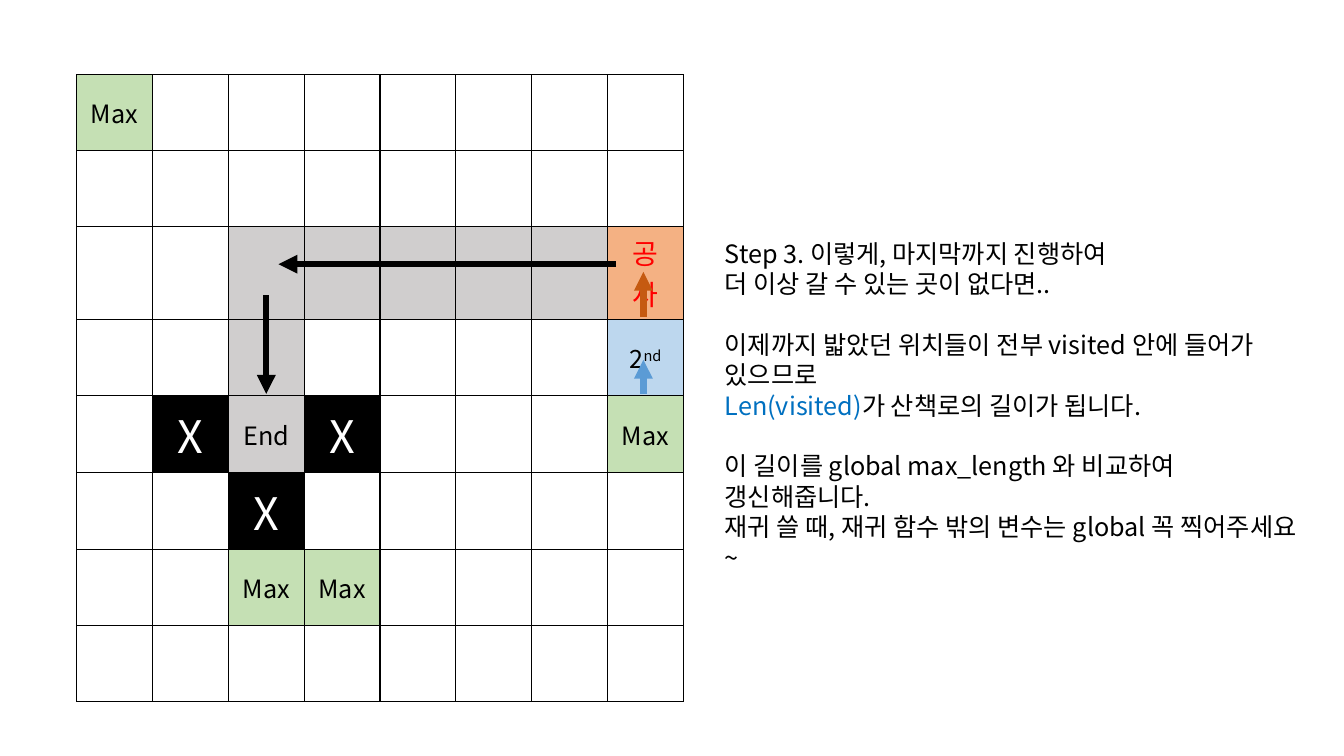
from lxml.etree import SubElement
from pptx import Presentation
from pptx.dml.color import RGBColor
from pptx.enum.shapes import MSO_CONNECTOR
from pptx.enum.text import MSO_ANCHOR, PP_ALIGN
from pptx.oxml.ns import qn
from pptx.util import Inches, Pt

# Content: path map, one character per cell
MAP = [
    "M.......",
    "........",
    "..pppppC",
    "..p....S",
    ".XEX...M",
    "..X.....",
    "..MM....",
    "........",
]
# Cell kind: (runs as (text, superscript), fill, text colour, size)
KINDS = {
    "M": ([("Max", False)], "peak", "ink", "body"),
    "p": ([], "trail", "ink", "body"),
    "C": ([("공사", False)], "dig", "alert", "dig"),
    "S": ([("2", False), ("nd", True)], "second", "ink", "body"),
    "X": ([("X", False)], "ink", "paper", "block"),
    "E": ([("End", False)], "trail", "ink", "body"),
}
# Explanation: paragraphs of runs, grouped in blocks
EXPLANATION = [
    [[("Step 3. 이렇게, 마지막까지 진행하여", "ink")],
     [("더 이상 갈 수 있는 곳이 없다면..", "ink")]],
    [[("이제까지 밟았던 위치들이 전부 visited 안에 들어가 있으므로", "ink")],
     [("Len(visited)", "code"), ("가 산책로의 길이가 됩니다.", "ink")]],
    [[("이 길이를 global max_length 와 비교하여 갱신해줍니다.", "ink")],
     [("재귀 쓸 때, 재귀 함수 밖의 변수는 global 꼭 찍어주세요~", "ink")]],
]
# Moves in grid units: (column, row) start, (column, row) end, colour
MOVES = [
    ((7.47, 4.21), (7.47, 3.76), "second_move"),
    ((7.47, 3.19), (7.47, 2.6), "dig_move"),
    ((7.11, 2.5), (2.66, 2.5), "ink"),
    ((2.5, 2.91), (2.5, 4.21), "ink"),
]


class Theme:
    font = "Noto Sans CJK KR"
    sizes = {"body": 18, "dig": 20, "block": 32}
    line_pitch = Pt(21.7)
    move_width = Pt(4.5)
    colors = {
        "ink": "000000", "paper": "FFFFFF", "peak": "C5E0B4",
        "trail": "D0CECE", "dig": "F4B183", "second": "BDD7EE",
        "alert": "FF0000", "code": "0070C0",
        "second_move": "5B9BD5", "dig_move": "C55A11",
    }


def color(name):
    return RGBColor.from_string(Theme.colors[name])


def add_run(paragraph, text, ink, size="body", superscript=False):
    run = paragraph.add_run()
    run.text = text
    run.font.size = Pt(Theme.sizes[size])
    run.font.color.rgb = color(ink)
    run.font.name = Theme.font
    properties = run.font._element
    SubElement(properties, qn("a:ea"), typeface=Theme.font)
    if superscript:
        properties.set("baseline", "30000")


def add_borders(cell):
    properties = cell._tc.get_or_add_tcPr()
    for position, side in enumerate(("lnL", "lnR", "lnT", "lnB")):
        border = properties.makeelement(qn(f"a:{side}"), {"w": str(Pt(1))})
        fill = SubElement(border, qn("a:solidFill"))
        SubElement(fill, qn("a:srgbClr"), val=Theme.colors["ink"])
        properties.insert(position, border)


presentation = Presentation()
presentation.slide_width = Inches(13.33)
presentation.slide_height = Inches(7.5)
slide = presentation.slides.add_slide(presentation.slide_layouts[6])

# Walking map
left, top, side = Inches(0.76), Inches(0.74), Inches(6.02)
step = side / len(MAP)
frame = slide.shapes.add_table(len(MAP), len(MAP[0]), left, top, side, side)
board = frame.table
board.first_row = board.horz_banding = False
for row, marks in enumerate(MAP):
    for column, mark in enumerate(marks):
        cell = board.cell(row, column)
        runs, fill, ink, size = KINDS.get(mark, ([], "paper", "ink", "body"))
        cell.fill.solid()
        cell.fill.fore_color.rgb = color(fill)
        cell.vertical_anchor = MSO_ANCHOR.MIDDLE
        cell.margin_left = cell.margin_right = Inches(0.13)
        cell.margin_top = cell.margin_bottom = Inches(0.06)
        label = cell.text_frame.paragraphs[0]
        label.alignment = PP_ALIGN.CENTER
        for text, superscript in runs:
            add_run(label, text, ink, size, superscript)
        add_borders(cell)

# Explanation
explanation = slide.shapes.add_textbox(
    Inches(7.09), Inches(2.31), Inches(5.88), Inches(2.52)).text_frame
explanation.word_wrap = True
for block_number, block in enumerate(EXPLANATION):
    for line_number, runs in enumerate(block):
        first = block_number == line_number == 0
        line = explanation.paragraphs[0] if first else explanation.add_paragraph()
        line.line_spacing = Theme.line_pitch
        if block_number and line_number == 0:
            line.space_before = Theme.line_pitch
        for text, ink in runs:
            add_run(line, text, ink)

# Moves
for (x1, y1), (x2, y2), ink in MOVES:
    move = slide.shapes.add_connector(
        MSO_CONNECTOR.STRAIGHT,
        int(left + x1 * step), int(top + y1 * step),
        int(left + x2 * step), int(top + y2 * step))
    move.line.color.rgb = color(ink)
    move.line.width = Theme.move_width
    SubElement(move.line._get_or_add_ln(), qn("a:tailEnd"), type="triangle")
    SubElement(move._element.spPr, qn("a:effectLst"))

presentation.save("out.pptx")
